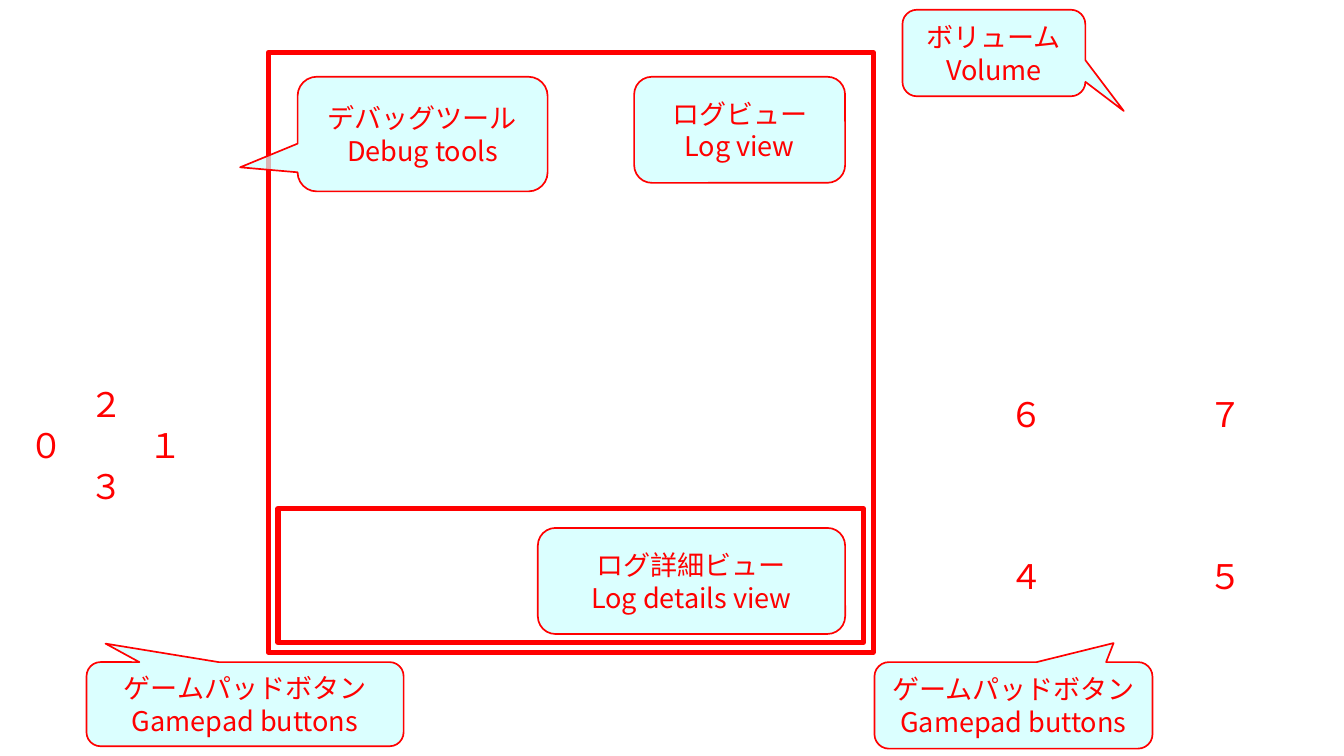
from dataclasses import dataclass
from typing import Any

from lxml.etree import SubElement
from pptx import Presentation
from pptx.dml.color import RGBColor
from pptx.enum.shapes import MSO_SHAPE as Shape
from pptx.enum.text import MSO_ANCHOR as Anchor, PP_ALIGN as Align
from pptx.oxml.ns import qn
from pptx.util import Inches, Pt


@dataclass(frozen=True)
class Theme:
    font: str = "Noto Sans CJK JP"
    red: RGBColor = RGBColor(0xFF, 0x00, 0x00)
    pale_blue: RGBColor = RGBColor(0xCC, 0xFF, 0xFF)
    fill_alpha: int = 70
    label_size: int = 16
    digit_size: int = 20
    digit_spacing: float = 3.4
    frame_line: float = 3
    label_line: float = 1


@dataclass(frozen=True)
class Box:
    left: float
    top: float
    width: float
    height: float


@dataclass(frozen=True)
class Label:
    box: Box
    japanese: str
    english: str
    pointer: tuple[float, ...] = ()  # callout tip; empty for a plain label


@dataclass(frozen=True)
class DigitRow:
    text: str
    tab: float
    space_before: float = 0


@dataclass(frozen=True)
class DigitPad:
    box: Box
    rows: tuple[DigitRow, ...]


THEME = Theme()
CORNER = 0.167

# Content, from back to front
ELEMENTS: list[Box | Label] = [
    Box(2.2, 0.43, 4.96, 4.92),
    Label(Box(2.44, 0.63, 2.05, 0.94), "デバッグツール", "Debug tools", (-0.73, 0.29)),
    Label(Box(0.71, 5.43, 2.6, 0.69), "ゲームパッドボタン", "Gamepad buttons", (-0.44, -0.72)),
    Label(Box(7.17, 5.43, 2.28, 0.71), "ゲームパッドボタン", "Gamepad buttons", (0.36, -0.72)),
    Label(Box(7.4, 0.08, 1.5, 0.71), "ボリューム", "Volume", (0.71, 0.67)),
    Box(2.28, 4.17, 4.8, 1.1),
    Label(Box(5.2, 0.63, 1.73, 0.87), "ログビュー", "Log view"),
    Label(Box(4.41, 4.33, 2.52, 0.87), "ログ詳細ビュー", "Log details view"),
]
PADS = [
    DigitPad(Box(0.24, 2.94, 1.5, 1.42),
             (DigitRow("\t２", 0.49), DigitRow("０\t１", 0.98), DigitRow("\t３", 0.49))),
    DigitPad(Box(8.28, 2.68, 2.2, 2.76),
             (DigitRow("６\t７", 1.63), DigitRow("４\t５", 1.63, space_before=72))),
]


def apply(target: Any, formats: dict[str, Any]) -> None:
    for name, value in formats.items():
        setattr(target, name, value)


def place(box: Box) -> tuple[int, ...]:
    return tuple(Inches(v) for v in (box.left, box.top, box.width, box.height))


def set_frame(frame: Any, side: float, end: float, wrap: bool) -> None:
    apply(frame, {
        "margin_left": Inches(side), "margin_right": Inches(side),
        "margin_top": Inches(end), "margin_bottom": Inches(end),
        "vertical_anchor": Anchor.MIDDLE, "word_wrap": wrap,
    })


def add_run(paragraph: Any, text: str, size: float) -> Any:
    run = paragraph.add_run()
    run.text = text
    apply(run.font, {"size": Pt(size), "name": THEME.font})
    run.font.color.rgb = THEME.red
    properties = run._r.get_or_add_rPr()
    SubElement(properties, qn("a:ea"), typeface=THEME.font)
    return properties


def add_outline(slide: Any, kind: Shape, box: Box, line: float) -> Any:
    outline = slide.shapes.add_shape(kind, *place(box))
    outline.shadow.inherit = False
    outline.fill.background()
    outline.line.color.rgb = THEME.red
    outline.line.width = Pt(line)
    return outline


def add_label(slide: Any, label: Label) -> None:
    kind = Shape.ROUNDED_RECTANGULAR_CALLOUT if label.pointer else Shape.ROUNDED_RECTANGLE
    bubble = add_outline(slide, kind, label.box, THEME.label_line)
    for index, value in enumerate((*label.pointer, CORNER)):
        bubble.adjustments[index] = value

    # Translucent fill
    bubble.fill.solid()
    bubble.fill.fore_color.rgb = THEME.pale_blue
    color = bubble._element.spPr.find(qn("a:solidFill")).find(qn("a:srgbClr"))
    SubElement(color, qn("a:alpha"), val=str(THEME.fill_alpha * 1000))

    # Two languages, one paragraph each
    frame = bubble.text_frame
    set_frame(frame, 0.11, 0.06, False)
    for index, text in enumerate((label.japanese, label.english)):
        paragraph = frame.add_paragraph() if index else frame.paragraphs[0]
        paragraph.alignment = Align.CENTER
        add_run(paragraph, text, THEME.label_size)


def add_pad(slide: Any, pad: DigitPad) -> None:
    frame = slide.shapes.add_textbox(*place(pad.box)).text_frame
    set_frame(frame, 0, 0.07, True)
    for index, row in enumerate(pad.rows):
        paragraph = frame.add_paragraph() if index else frame.paragraphs[0]
        paragraph.alignment = Align.LEFT
        if row.space_before:
            paragraph.space_before = Pt(row.space_before)
        tabs = SubElement(paragraph._p.get_or_add_pPr(), qn("a:tabLst"))
        SubElement(tabs, qn("a:tab"), pos=str(Inches(row.tab)), algn="l")
        properties = add_run(paragraph, row.text, THEME.digit_size)
        properties.set("spc", str(round(THEME.digit_spacing * 100)))


def main() -> None:
    deck = Presentation()
    apply(deck, {"slide_width": Inches(11.02), "slide_height": Inches(6.2)})
    slide = deck.slides.add_slide(deck.slide_layouts[6])

    # View frames and their labels
    for element in ELEMENTS:
        if isinstance(element, Label):
            add_label(slide, element)
        else:
            add_outline(slide, Shape.RECTANGLE, element, THEME.frame_line)

    # Gamepad button numbers
    for pad in PADS:
        add_pad(slide, pad)

    deck.save("out.pptx")


if __name__ == "__main__":
    main()
